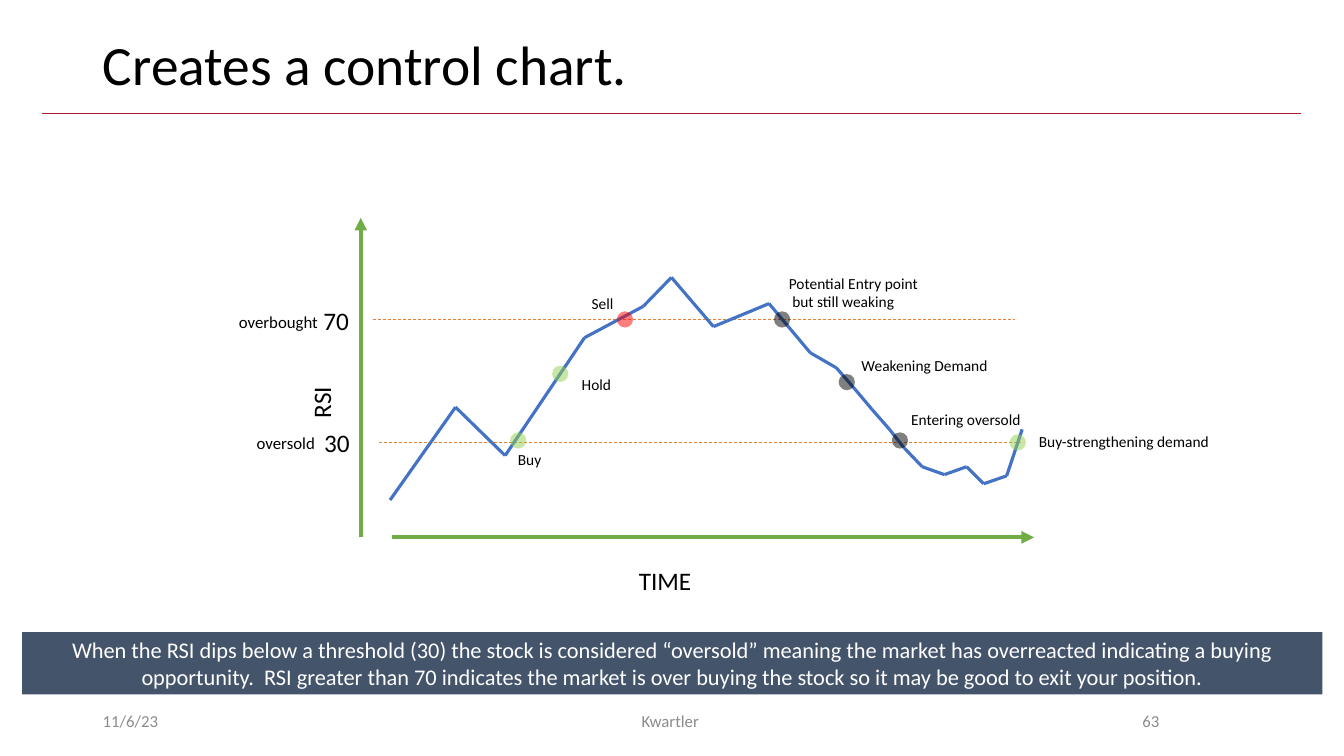
import itertools

import lxml.etree
import pptx
import pptx.dml.color
import pptx.enum.dml
import pptx.enum.shapes
import pptx.enum.text
import pptx.oxml.ns
import pptx.util
from pptx.util import Cm

RGB = pptx.dml.color.RGBColor
BLACK = RGB(0x00, 0x00, 0x00)
WHITE = RGB(0xFF, 0xFF, 0xFF)
GREY = RGB(0x8C, 0x8C, 0x8C)
CRIMSON = RGB(0xA5, 0x1C, 0x30)
GREEN = RGB(0x70, 0xAD, 0x47)
ORANGE = RGB(0xED, 0x7D, 0x31)
BLUE = RGB(0x44, 0x72, 0xC4)
SLATE = RGB(0x44, 0x54, 0x6A)
LIME = RGB(0x92, 0xD0, 0x50)
RED = RGB(0xFF, 0x00, 0x00)

FONT = "Calibri"
DOT = 0.41
ALIGN = pptx.enum.text.PP_ALIGN
MIDDLE = pptx.enum.text.MSO_ANCHOR.MIDDLE
SHAPE = pptx.enum.shapes.MSO_SHAPE

# RSI over time, in cm on the slide
CURVE = [
    (9.83, 12.6), (11.48, 10.26), (12.73, 11.48), (14.73, 8.51),
    (16.21, 7.72), (16.92, 6.99), (17.98, 8.23), (19.38, 7.65),
    (20.42, 8.89), (21.08, 9.27), (21.54, 9.8), (21.97, 10.31),
    (22.4, 10.8), (22.78, 11.28), (23.24, 11.76), (23.8, 11.96),
    (24.36, 11.76), (24.79, 12.19), (25.37, 11.99), (25.76, 10.82),
]

# Centre and colour of each signal
SIGNALS = [
    (13.06, 11.1, LIME), (15.75, 8.05, RED), (14.12, 9.42, LIME),
    (19.71, 8.05, BLACK), (21.34, 9.63, BLACK), (22.68, 11.1, BLACK),
    (25.65, 11.15, LIME),
]

# Lines of text, left, top, width, height, size
LABELS = [
    (["TIME"], 15.85, 14.12, 1.9, 1.02, 18),
    (["70"], 7.9, 7.57, 1.2, 1.02, 18),
    (["30"], 7.92, 10.64, 1.2, 1.02, 18),
    (["oversold"], 6.22, 10.77, 2.05, 0.76, 12),
    (["overbought"], 5.77, 7.72, 2.55, 0.76, 12),
    (["Buy"], 12.8, 11.23, 1.2, 0.74, 11),
    (["Hold"], 14.41, 9.32, 1.4, 0.74, 11),
    (["Sell"], 14.66, 7.29, 1.15, 0.74, 11),
    (["Potential Entry point", " but still weaking"],
     19.63, 6.78, 3.85, 1.19, 11),
    (["Weakening Demand"], 21.46, 8.86, 3.8, 0.74, 11),
    (["Entering oversold"], 22.71, 10.21, 3.4, 0.74, 11),
    (["Buy-strengthening demand"], 25.93, 10.77, 4.95, 0.74, 11),
]

# Text, left, width, alignment
FOOTER = [
    ("11/6/23", 2.34, 7.62, ALIGN.LEFT),
    ("Kwartler", 11.18, 11.43, ALIGN.CENTER),
    ("63", 23.93, 5.54, ALIGN.RIGHT),
]

BANNER = (
    "When the RSI dips below a threshold (30) the stock is considered "
    "“oversold” meaning the market has overreacted indicating a buying "
    "opportunity.  RSI greater than 70 indicates the market is over buying "
    "the stock so it may be good to exit your position."
)


def add_tag(parent, name, **attrs):
    return lxml.etree.SubElement(parent, pptx.oxml.ns.qn(name), **attrs)


def write(frame, lines, size, color, align=ALIGN.LEFT):
    for i, line in enumerate(lines):
        para = frame.add_paragraph() if i else frame.paragraphs[0]
        para.alignment = align
        run = para.add_run()
        run.text = line
        run.font.name = FONT
        run.font.size = pptx.util.Pt(size)
        run.font.color.rgb = color


def add_line(slide, start, end, color, width, dash=False, arrow=False):
    line = slide.shapes.add_connector(
        pptx.enum.shapes.MSO_CONNECTOR.STRAIGHT,
        *[Cm(v) for v in (*start, *end)])
    line.line.color.rgb = color
    line.line.width = pptx.util.Pt(width)
    if dash:
        line.line.dash_style = pptx.enum.dml.MSO_LINE.DASH
    props = line._element.spPr
    if arrow:
        add_tag(props.find(pptx.oxml.ns.qn("a:ln")), "a:tailEnd",
                type="triangle")
    add_tag(props, "a:effectLst")


def add_solid(slide, kind, box, color):
    """Add a filled shape with no outline or shadow."""
    shape = slide.shapes.add_shape(kind, *[Cm(v) for v in box])
    shape.shadow.inherit = False
    shape.fill.solid()
    shape.fill.fore_color.rgb = color
    shape.line.fill.background()
    return shape


def add_dot(slide, x, y, color):
    """Add a half-transparent signal centred on x, y."""
    box = (x - DOT / 2, y - DOT / 2, DOT, DOT)
    dot = add_solid(slide, SHAPE.OVAL, box, color)
    tint = dot._element.spPr.find(
        pptx.oxml.ns.qn("a:solidFill")).find(pptx.oxml.ns.qn("a:srgbClr"))
    add_tag(tint, "a:alpha", val="50000")


def add_label(slide, lines, left, top, width, height, size):
    box = slide.shapes.add_textbox(
        Cm(left), Cm(top), Cm(width), Cm(height))
    box.text_frame.word_wrap = False
    box.text_frame.auto_size = pptx.enum.text.MSO_AUTO_SIZE.SHAPE_TO_FIT_TEXT
    write(box.text_frame, lines, size, BLACK)
    return box


def add_footer(slide, text, left, width, align):
    box = slide.shapes.add_textbox(
        Cm(left), Cm(17.65), Cm(width), Cm(1.02))
    box.text_frame.word_wrap = True
    box.text_frame.vertical_anchor = MIDDLE
    write(box.text_frame, [text], 12, GREY, align)


def set_title(slide, text):
    title = slide.shapes.title
    title.left, title.top = Cm(2.34), Cm(1.02)
    title.width, title.height = Cm(29.21), Cm(1.37)
    frame = title.text_frame
    frame.auto_size = pptx.enum.text.MSO_AUTO_SIZE.NONE
    frame.vertical_anchor = MIDDLE
    write(frame, [text], 39.6, BLACK)
    frame.paragraphs[0].line_spacing = 0.9


def add_banner(slide, text):
    banner = add_solid(
        slide, SHAPE.RECTANGLE, (0.56, 15.93, 32.77, 1.57), SLATE)
    banner.text_frame.word_wrap = True
    banner.text_frame.vertical_anchor = MIDDLE
    write(banner.text_frame, [text], 16, WHITE, ALIGN.CENTER)


def main():
    deck = pptx.Presentation()
    deck.slide_width, deck.slide_height = Cm(33.87), Cm(19.05)
    slide = deck.slides.add_slide(deck.slide_layouts[5])

    set_title(slide, "Creates a control chart.")
    add_line(slide, (1.07, 2.85), (32.79, 2.85), CRIMSON, 0.5)

    add_line(slide, (9.88, 13.54), (26.06, 13.54), GREEN, 3, arrow=True)
    add_line(slide, (9.09, 13.54), (9.09, 5.49), GREEN, 3, arrow=True)
    for left, y in [(9.4, 8.05), (9.55, 11.15)]:
        add_line(slide, (left, y), (left + 16.18, y), ORANGE, 0.5, dash=True)
    for start, end in itertools.pairwise(CURVE):
        add_line(slide, start, end, BLUE, 2.25)
    for signal in SIGNALS:
        add_dot(slide, *signal)

    for label in LABELS:
        add_label(slide, *label)
    axis = add_label(slide, ["RSI"], 7.37, 9.55, 1.45, 1.02, 18)
    axis.rotation = 270

    add_banner(slide, BANNER)
    for item in FOOTER:
        add_footer(slide, *item)
    deck.save("out.pptx")


if __name__ == "__main__":
    main()
